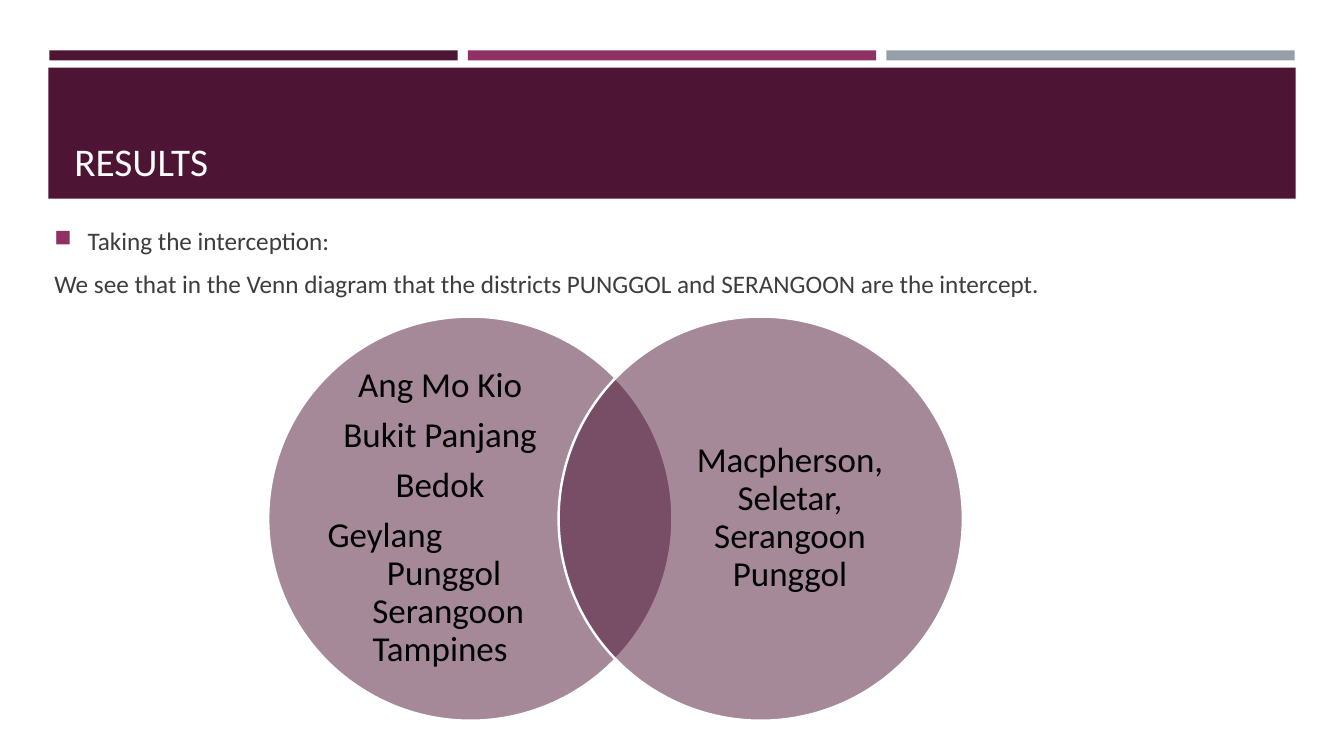
from dataclasses import dataclass

from lxml import etree
from pptx import Presentation
from pptx import util as u
from pptx.dml.color import RGBColor
from pptx.enum import shapes, text
from pptx.oxml import ns


@dataclass(frozen=True)
class Theme:
    font: str = "Calibri"
    plum: str = "4D1434"
    rose: str = "903163"
    slate: str = "969FA7"
    white: str = "FFFFFF"
    gray: str = "3D3D3D"
    black: str = "000000"
    title: int = 28
    body: int = 18
    label: int = 25


THEME = Theme()
ALIGN = text.PP_ALIGN
ANCHOR = text.MSO_ANCHOR
KIND = shapes.MSO_SHAPE


def add_shape(slide, kind, box, color, alpha=None, line=None):
    shape = slide.shapes.add_shape(kind, *map(u.Inches, box))
    shape.shadow.inherit = False
    shape.fill.solid()
    shape.fill.fore_color.rgb = RGBColor.from_string(color)
    if alpha:
        tone = shape.fill._xPr.find(".//" + ns.qn("a:srgbClr"))
        etree.SubElement(tone, ns.qn("a:alpha"), val=str(alpha * 1000))
    if line:
        shape.line.color.rgb = RGBColor.from_string(line)
        shape.line.width = u.Pt(1.75)
    else:
        shape.line.fill.background()


def add_bullet(para, color):
    props = para._p.get_or_add_pPr()
    props.set("marL", str(u.Inches(0.33)))
    props.set("indent", str(-u.Inches(0.33)))
    tint = etree.SubElement(props, ns.qn("a:buClr"))
    etree.SubElement(tint, ns.qn("a:srgbClr"), val=color)
    etree.SubElement(props, ns.qn("a:buSzPct"), val="92000")
    etree.SubElement(props, ns.qn("a:buChar"), char="■")


def add_text(frame, words, size, color, align=ALIGN.LEFT, before=0,
             after=0, pitch=None, left=0, bullet=None):
    first = not frame.paragraphs[0].runs
    para = frame.paragraphs[0] if first else frame.add_paragraph()
    para.alignment = align
    para.space_before = u.Pt(0 if first else before)
    para.space_after = u.Pt(after)
    if pitch:
        para.line_spacing = pitch
    if left:
        para._p.get_or_add_pPr().set("marL", str(u.Inches(left)))
    if bullet:
        add_bullet(para, bullet)
    run = para.add_run()
    run.text = words
    run.font.name = THEME.font
    run.font.size = u.Pt(size)
    run.font.color.rgb = RGBColor.from_string(color)


def add_box(slide, box, anchor, inset=True):
    frame = slide.shapes.add_textbox(*map(u.Inches, box)).text_frame
    frame.word_wrap = True
    frame.vertical_anchor = anchor
    if not inset:
        frame.margin_left = frame.margin_right = 0
        frame.margin_top = frame.margin_bottom = 0
    return frame


def add_set(slide, left, label, items):
    add_shape(slide, KIND.OVAL, (left, 3.14, 4.01, 4.01), THEME.plum,
              alpha=50, line=THEME.white)
    frame = add_box(slide, (label, 3.61, 2.31, 3.06), ANCHOR.MIDDLE, inset=False)
    for words, form in items:
        style = {"align": ALIGN.CENTER, "pitch": 0.9} | form
        add_text(frame, words, THEME.label, THEME.black, **style)


def main():
    deck = Presentation()
    deck.slide_width, deck.slide_height = u.Inches(13.33), u.Inches(7.5)
    slide = deck.slides.add_slide(deck.slide_layouts[6])

    for i, color in enumerate((THEME.plum, THEME.rose, THEME.slate)):
        add_shape(slide, KIND.RECTANGLE, (0.49 + 4.15 * i, 0.5, 4.05, 0.1), color)
    add_shape(slide, KIND.RECTANGLE, (0.48, 0.67, 12.37, 1.3), THEME.plum)

    title = add_box(slide, (0.64, 0.77, 12.06, 1.11), ANCHOR.BOTTOM)
    add_text(title, "RESULTS", THEME.title, THEME.white)

    body = add_box(slide, (0.44, 2.19, 12.06, 0.9), ANCHOR.TOP)
    add_text(body, "Taking the interception:", THEME.body, THEME.gray,
             after=6, bullet=THEME.rose)
    add_text(body, "We see that in the Venn diagram that the districts PUNGGOL "
             "and SERANGOON are the intercept.", THEME.body, THEME.gray,
             before=3, after=6)

    gap = {"after": 8.75}
    add_set(slide, 2.66, 3.21, (
        ("Ang Mo Kio", gap),
        ("Bukit Panjang", gap),
        ("Bedok", gap),
        ("Geylang", {"align": ALIGN.LEFT, "left": 0.04}),
        ("Punggol", {"left": 0.08}),
        ("Serangoon", {"left": 0.16}),
        ("Tampines", {}),
    ))
    add_set(slide, 5.54, 6.68, (
        ("Macpherson, Seletar, Serangoon Punggol", {}),
    ))
    deck.save("out.pptx")


if __name__ == "__main__":
    main()
